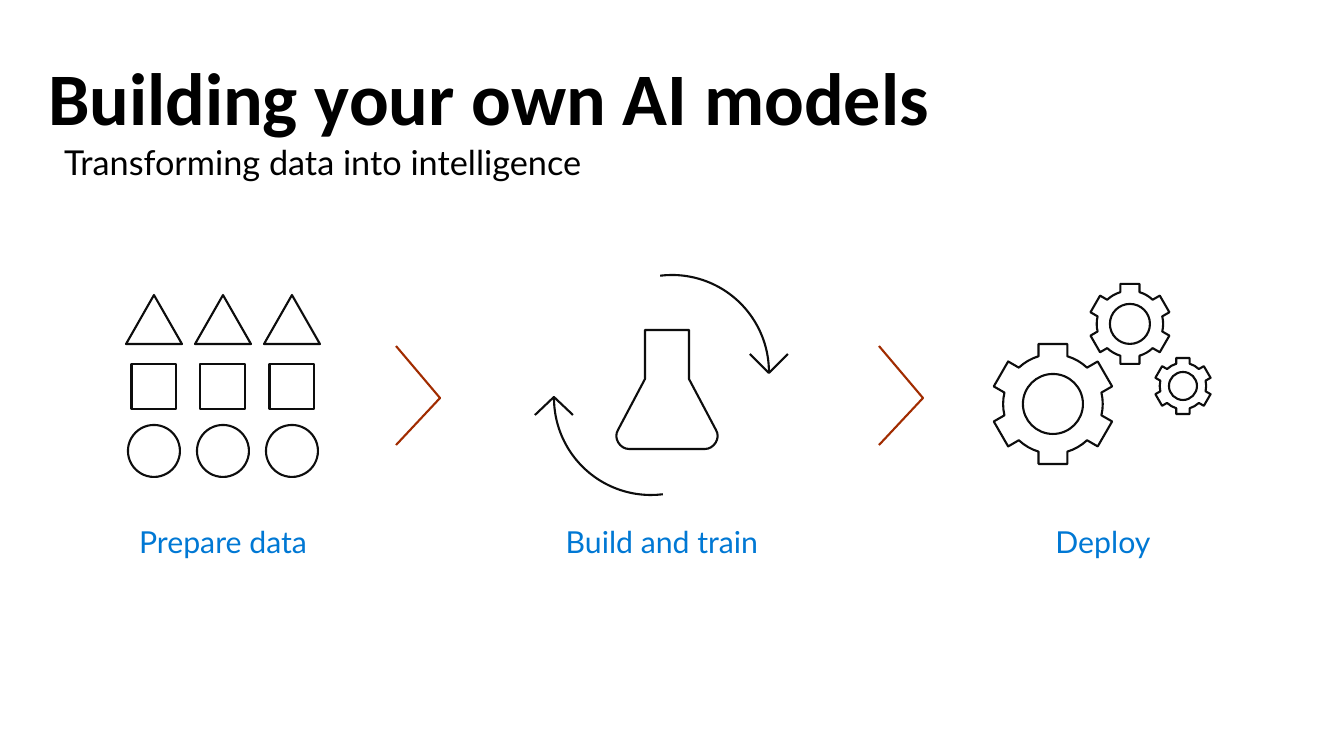
"""Builds the slide on the three steps of making an AI model."""
from dataclasses import dataclass
from math import asin, cos, degrees, radians, sin, tan

from lxml.etree import SubElement
from pptx import Presentation
from pptx.dml.color import RGBColor
from pptx.enum.shapes import MSO_SHAPE as Shape
from pptx.enum.text import MSO_ANCHOR as Anchor, MSO_AUTO_SIZE as AutoSize, PP_ALIGN as Align
from pptx.oxml.ns import qn
from pptx.util import Pt


@dataclass(frozen=True)
class Theme:
    text: str = "000000"
    label: str = "0078D4"
    outline: str = "0D0D0D"
    chevron: str = "A12C00"
    white: str = "FFFFFF"
    title_font: str = "Calibri"
    body_font: str = "Lato"
    title_size: float = 52.9
    subtitle_size: float = 24.5
    label_size: float = 21.6
    line_width: float = 1.5


THEME = Theme()
EMU_PER_PX = 914400 / 100.8

TITLE = ("Building your own AI models", (48, 33, 1250, 84))
SUBTITLE = ("Transforming data into intelligence", (64, 146, 1250, 30))
LABELS = [
    ("Prepare data", (125, 518, 196, 46)),
    ("Build and train", (550, 518, 224, 46)),
    ("Deploy", (1044, 518, 118, 46)),
]
DATA_ROWS = [
    (Shape.ISOSCELES_TRIANGLE, 295, 56, 49),
    (Shape.RECTANGLE, 364, 45, 45),
    (Shape.OVAL, 425, 52, 52),
]
DATA_CENTERS = [154 + 69 * column for column in range(3)]
GEARS = [((1053, 404), 60), ((1130, 324), 40), ((1183, 386), 28)]
TEETH, BODY_RATIO, HOLE_RATIO, TOOTH_RATIO = 6, 0.83, 0.5, 0.24
CYCLE_SIZE, CYCLE_START = 194, 263
CYCLE_ARCS = [((575, 275), 0), ((554, 301), 180)]
CYCLE_HEADS = [
    [(750, 354), (769, 373), (788, 354)],
    [(573, 415), (554, 397), (535, 415)],
]
FLASK_CENTER = 667
FLASK_NECK = [(645, 330), (645, 379)]
FLASK_CORNER = [(618, 430), (613, 438), (620, 449), (629, 449)]
CHEVRON_LEFTS = [396, 879]
CHEVRON = [(0, 346), (44, 398), (0, 445)]


def emu(px):
    return round(px * EMU_PER_PX)


def color(code):
    return RGBColor.from_string(code)


def place(shape, area):
    shape.left, shape.top, shape.width, shape.height = map(emu, area)


def style_line(shape, code=THEME.outline):
    shape.shadow.inherit = False
    shape.line.color.rgb = color(code)
    shape.line.width = Pt(THEME.line_width)


def write(box, text, font, size, code):
    frame = box.text_frame
    frame.text = text
    frame.auto_size = AutoSize.NONE
    frame.vertical_anchor = Anchor.TOP
    para = frame.paragraphs[0]
    para.space_before = Pt(0)
    span = para.runs[0].font
    span.name, span.size, span.color.rgb = font, Pt(size), color(code)
    return para


def set_insets(box, top):
    frame = box.text_frame
    frame.margin_left = frame.margin_right = frame.margin_bottom = 0
    frame.margin_top = emu(top)


def lines(points):
    return [[point] for point in points]


def add_outline(shapes, contours, close=True, code=THEME.outline):
    """Draws contours of segments: one point is a line, three are a curve."""
    builder = None
    for contour in contours:
        points = [(emu(x), emu(y)) for segment in contour for x, y in segment]
        if builder is None:
            builder = shapes.build_freeform(*points[0], scale=1)
        else:
            builder.move_to(*points[0])
        builder.add_line_segments(points[1:], close=False)
        if close:
            builder.add_line_segments([], close=True)
    outline = builder.convert_to_shape()
    steps = [step for step in outline._element.iter(qn("a:moveTo"), qn("a:lnTo"))]
    position = 0
    for segment in (segment for contour in contours for segment in contour):
        group = steps[position:position + len(segment)]
        position += len(segment)
        if len(segment) == 3:
            group[0].tag = qn("a:cubicBezTo")
            for step in group[1:]:
                group[0].append(step[0])
                step.getparent().remove(step)
    outline.fill.background()
    style_line(outline, code)


def polar(center, radius, angle):
    turn = radians(angle)
    return center[0] + radius * cos(turn), center[1] + radius * sin(turn)


def arc_curve(center, radius, start, sweep):
    pull = 4 / 3 * tan(radians(sweep) / 4)
    lean = degrees(radians(90) - radians(90)) if pull == 0 else degrees(asin(pull / (1 + pull ** 2) ** 0.5))
    reach = radius * (1 + pull ** 2) ** 0.5
    end = start + sweep
    return [polar(center, reach, start + lean), polar(center, reach, end - lean), polar(center, radius, end)]


def gear_contours(center, tip):
    body, half_tooth = tip * BODY_RATIO, tip * TOOTH_RATIO
    root = degrees(asin(half_tooth / body))
    reach = (tip ** 2 + half_tooth ** 2) ** 0.5
    corner = degrees(asin(half_tooth / reach))
    step = 360 / TEETH
    rim = lines([polar(center, body, -90 - root)])
    for tooth in range(TEETH):
        middle = tooth * step - 90
        rim += lines([
            polar(center, reach, middle - corner),
            polar(center, reach, middle + corner),
            polar(center, body, middle + root),
        ])
        rim.append(arc_curve(center, body, middle + root, step - 2 * root))
    radius = tip * HOLE_RATIO
    hole = lines([polar(center, radius, 0)])
    hole += [arc_curve(center, radius, start, 90) for start in range(0, 360, 90)]
    return [hole, rim]


def add_texts(page):
    title, subtitle = page.shapes.title, page.placeholders[1]
    place(title, TITLE[1])
    para = write(title, TITLE[0], THEME.title_font, THEME.title_size, THEME.text)
    para.alignment = Align.LEFT
    para.runs[0].font.bold = True
    set_insets(title, 18)

    place(subtitle, SUBTITLE[1])
    para = write(subtitle, SUBTITLE[0], THEME.body_font, THEME.subtitle_size, THEME.text)
    para.line_spacing = 0.9
    properties = para._p.get_or_add_pPr()
    properties.set("marL", "0")
    properties.set("indent", "0")
    SubElement(properties, qn("a:buNone"))
    set_insets(subtitle, 0)

    for text, area in LABELS:
        box = page.shapes.add_textbox(*map(emu, area))
        para = write(box, text, THEME.body_font, THEME.label_size, THEME.label)
        para.alignment = Align.CENTER
        box.text_frame.word_wrap = False


def add_gears(shapes):
    for center, tip in GEARS:
        add_outline(shapes, gear_contours(center, tip))


def add_data_grid(shapes):
    for center in DATA_CENTERS:
        for kind, top, width, height in DATA_ROWS:
            item = shapes.add_shape(kind, *map(emu, (center - width / 2, top, width, height)))
            item.fill.solid()
            item.fill.fore_color.rgb = color(THEME.white)
            style_line(item)


def add_flask_cycle(shapes):
    mirror = [(2 * FLASK_CENTER - x, y) for x, y in reversed(FLASK_NECK + FLASK_CORNER)]
    left = lines(FLASK_NECK + FLASK_CORNER[:1]) + [FLASK_CORNER[1:]]
    right = lines(mirror[:1]) + [mirror[1:4]] + lines(mirror[4:])
    add_outline(shapes, [left + right])
    for (x, y), rotation in CYCLE_ARCS:
        arc = shapes.add_shape(Shape.ARC, *map(emu, (x, y, CYCLE_SIZE, CYCLE_SIZE)))
        arc.adjustments[0] = CYCLE_START * 0.6
        arc.adjustments[1] = 0
        arc.rotation = rotation
        arc.fill.background()
        style_line(arc)
    for head in CYCLE_HEADS:
        add_outline(shapes, [lines(head)], close=False)


def main():
    deck = Presentation()
    deck.slide_width, deck.slide_height = emu(1344), emu(756)
    page = deck.slides.add_slide(deck.slide_layouts[1])
    add_texts(page)
    for draw in (add_gears, add_data_grid, add_flask_cycle):
        draw(page.shapes.add_group_shape().shapes)
    for left in CHEVRON_LEFTS:
        add_outline(page.shapes, [lines((left + x, y) for x, y in CHEVRON)], False, THEME.chevron)
    deck.save("out.pptx")


if __name__ == "__main__":
    main()
